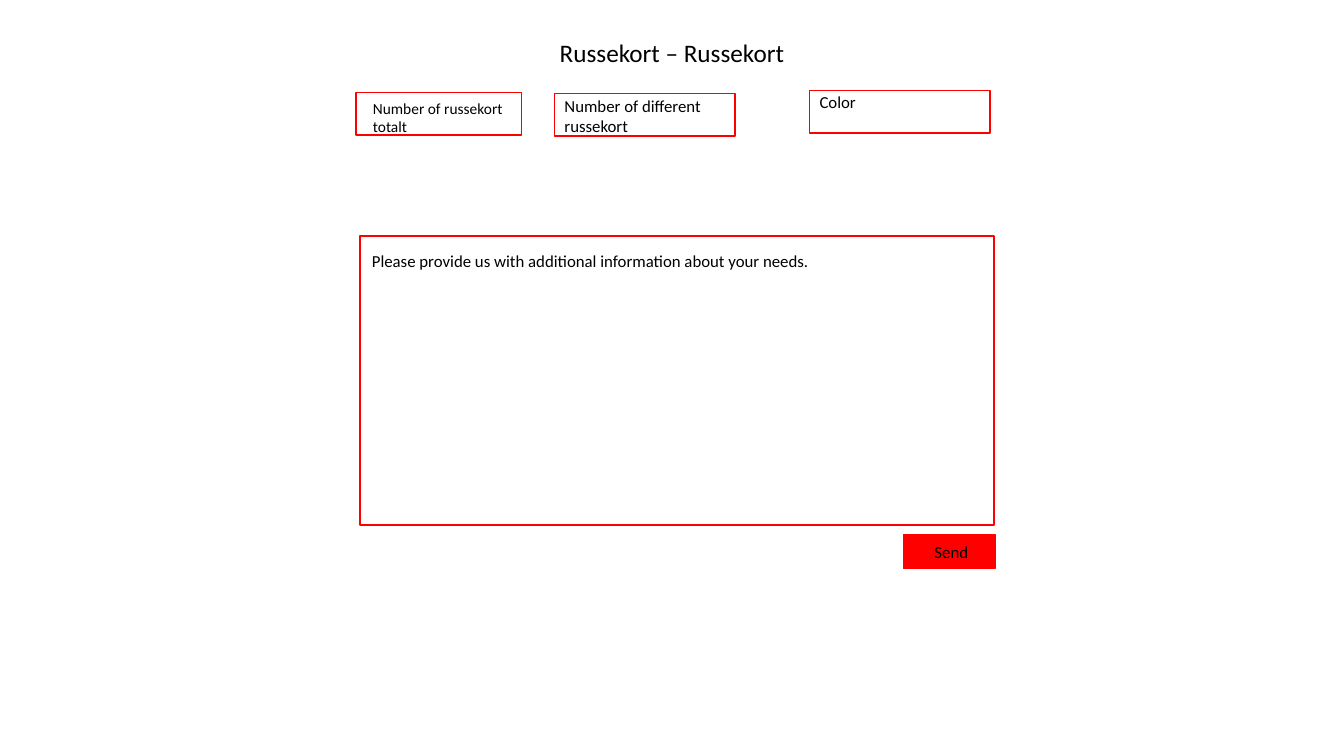
import pptx
import pptx.dml.color
import pptx.enum.text
import pptx.util

COLORS = {"text": "000000", "paper": "FFFFFF", "accent": "FF0000"}
WIDTH, HEIGHT = 13.33, 7.5
FORM = (3.53, 0.9, 6.34, 4.74)
FIELD_HEIGHT = 0.42
# Caption, field (left, top, width), label (left, top, width, height), text size.
# Field places are relative to the form, label places to their field.
FIELDS = [
    ("Number of russekort totalt", (0, 0.02, 1.64), (0.07, 0.01, 1.57, 0.47), 11),
    ("Number of different russekort", (1.97, 0.03, 1.79), (0, -0.03, 1.57, 0.5), 12),
    ("Color", (4.5, 0, 1.79), (0, -0.04, 1.57, 0.3), 12),
]


def rgb(name):
    return pptx.dml.color.RGBColor.from_string(COLORS[name])


def inches(box):
    return [pptx.util.Inches(v) for v in box]


def within(box, left, top, width, height):
    """Turn a place relative to box into a place on the slide."""
    return box[0] + left, box[1] + top, width, height


def write(tf, text, size, align=pptx.enum.text.PP_ALIGN.LEFT):
    tf.word_wrap = True
    tf.auto_size = pptx.enum.text.MSO_AUTO_SIZE.NONE
    p = tf.paragraphs[0]
    p.alignment = align
    r = p.add_run()
    r.text = text
    for name, value in {"name": "Calibri", "size": pptx.util.Pt(size)}.items():
        setattr(r.font, name, value)
    r.font.color.rgb = rgb("text")


def add_label(s, box, text, size=12):
    write(s.shapes.add_textbox(*inches(box)).text_frame, text, size)


def add_frame(s, box, fill="paper"):
    sp = s.shapes.add_shape(pptx.enum.shapes.MSO_SHAPE.RECTANGLE, *inches(box))
    sp.shadow.inherit = False
    sp.fill.solid()
    sp.fill.fore_color.rgb = rgb(fill)
    sp.line.color.rgb = rgb("accent")
    sp.line.width = pptx.util.Pt(1)


def add_title(s, box, text):
    title = s.shapes.title
    title.left, title.top, title.width, title.height = inches(box)
    title.text_frame.vertical_anchor = pptx.enum.text.MSO_ANCHOR.TOP
    write(title.text_frame, text, 18, pptx.enum.text.PP_ALIGN.CENTER)


def add_fields(s, box):
    for caption, place, label, size in FIELDS:
        field = within(box, *place, FIELD_HEIGHT)
        add_frame(s, field)
        add_label(s, within(field, *label), caption, size)


def add_message(s, box):
    add_frame(s, box)
    add_label(s, within(box, 0.02, 0.1, 6.16, 0.3),
              "Please provide us with additional information about your needs.")


def add_send_button(s, box):
    add_frame(s, box, "accent")
    add_label(s, within(box, 0.21, 0.03, 2.24, 0.3), "Send")


def main():
    prs = pptx.Presentation()
    prs.slide_width, prs.slide_height = inches((WIDTH, HEIGHT))
    s = prs.slides.add_slide(prs.slide_layouts[5])
    add_title(s, (0, 0.32, WIDTH, 0.42), "Russekort – Russekort")
    add_fields(s, FORM)
    add_message(s, within(FORM, 0.04, 1.44, 6.29, 2.87))
    add_send_button(s, within(FORM, FORM[2] - 0.91, FORM[3] - 0.34, 0.91, 0.34))
    prs.save("out.pptx")


if __name__ == "__main__":
    main()
